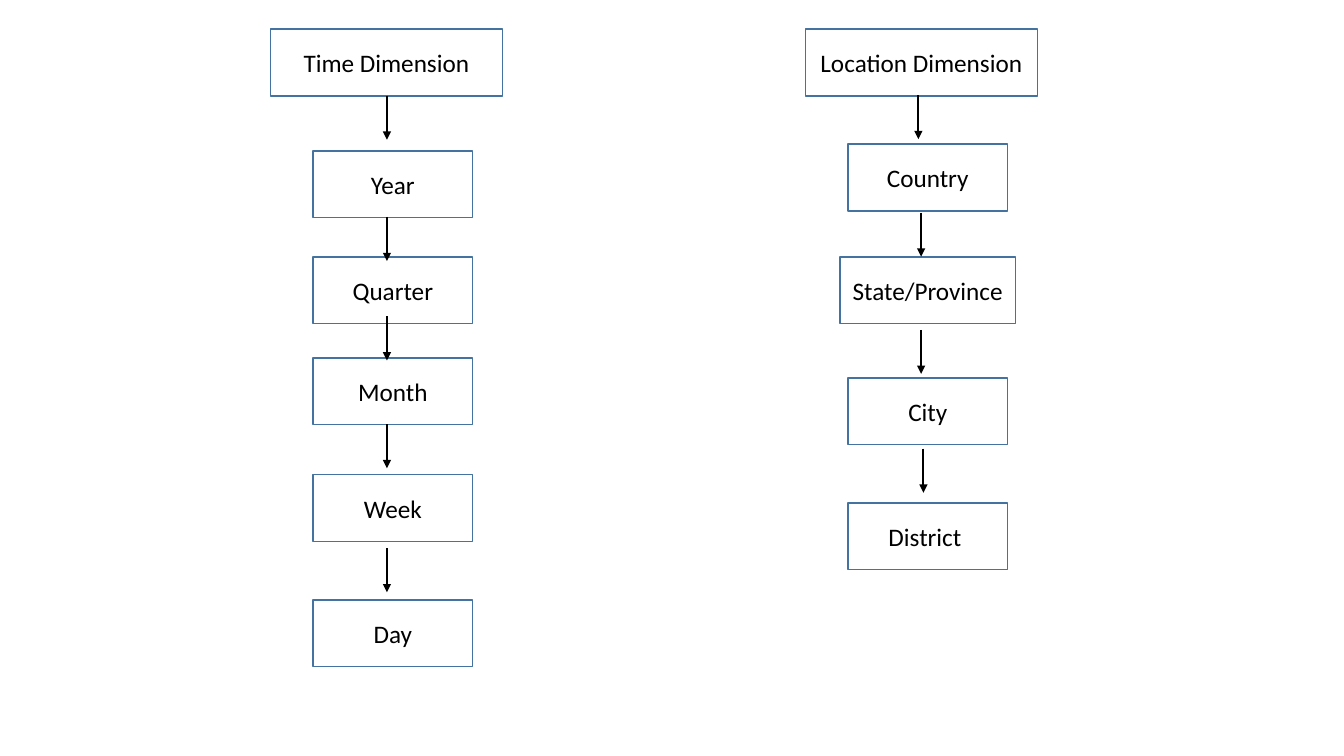
from pptx import Presentation
from pptx.dml.color import RGBColor
from pptx.enum.shapes import MSO_CONNECTOR as Connector, MSO_SHAPE as Shape
from pptx.enum.text import MSO_ANCHOR as Anchor, PP_ALIGN as Align
from pptx.oxml.ns import qn
from pptx.util import Pt
from lxml import etree

BLACK = RGBColor(0x00, 0x00, 0x00)
BLUE = RGBColor(0x43, 0x73, 0x9E)

BOX_HEIGHT = 47.7
LEVEL_WIDTH = 113.8
LEVEL_CENTER = 87.5  # from the left of a hierarchy
ARROW_LENGTH = 31.5

# Levels: name, top, width; arrows: x, top (all relative to the hierarchy)
TIME_LEVELS = [
    ("Year", 87.1, LEVEL_WIDTH),
    ("Quarter", 162.7, LEVEL_WIDTH),
    ("Month", 234.9, LEVEL_WIDTH),
    ("Week", 318.2, LEVEL_WIDTH),
    ("Day", 407.7, LEVEL_WIDTH),
]
TIME_ARROWS = [(83.3, top) for top in (47.5, 134.2, 205.2, 282.2, 370.8)]
LOCATION_LEVELS = [
    ("Country", 82.1, LEVEL_WIDTH),
    ("State/Province", 162.7, 125.3),
    ("City", 249.1, LEVEL_WIDTH),
    ("District ", 338.4, LEVEL_WIDTH),
]
LOCATION_ARROWS = [(80.8, 47.1), (82.8, 131), (82.8, 214.8), (84.4, 299.7)]


def write_text(shape, text, size=18, font="Calibri", color=BLACK, align=Align.CENTER):
    frame = shape.text_frame
    frame.word_wrap = True
    frame.vertical_anchor = Anchor.MIDDLE
    paragraph = frame.paragraphs[0]
    paragraph.alignment = align
    run = paragraph.add_run()
    run.text = text
    run.font.size = Pt(size)
    run.font.name = font
    run.font.color.rgb = color


def add_box(slide, text, left, top, width):
    shape = slide.shapes.add_shape(
        Shape.RECTANGLE, Pt(left), Pt(top), Pt(width), Pt(BOX_HEIGHT))
    shape.shadow.inherit = False
    shape.fill.background()
    shape.line.color.rgb = BLUE
    shape.line.width = Pt(1)
    write_text(shape, text)


def add_down_arrow(slide, x, top):
    arrow = slide.shapes.add_connector(
        Connector.STRAIGHT, Pt(x), Pt(top), Pt(x), Pt(top + ARROW_LENGTH))
    arrow.line.color.rgb = BLACK
    arrow.line.width = Pt(1.5)
    etree.SubElement(arrow.line._get_or_add_ln(), qn("a:tailEnd"), type="triangle")
    etree.SubElement(arrow._element.spPr, qn("a:effectLst"))


def add_hierarchy(slide, title, levels, arrows, left, top, width):
    # Dimension heading
    add_box(slide, title, left, top, width)
    # Levels, centred on one axis
    for name, offset, level_width in levels:
        add_box(slide, name, left + LEVEL_CENTER - level_width / 2,
                top + offset, level_width)
    # Arrows between levels
    for x, offset in arrows:
        add_down_arrow(slide, left + x, top + offset)


presentation = Presentation()
presentation.slide_width = Pt(960)
presentation.slide_height = Pt(540)
slide = presentation.slides.add_slide(presentation.slide_layouts[6])

add_hierarchy(slide, "Time Dimension", TIME_LEVELS, TIME_ARROWS,
              left=193.1, top=20.8, width=165.8)
add_hierarchy(slide, "Location Dimension", LOCATION_LEVELS, LOCATION_ARROWS,
              left=575.2, top=20.8, width=165.8)

presentation.save("out.pptx")
